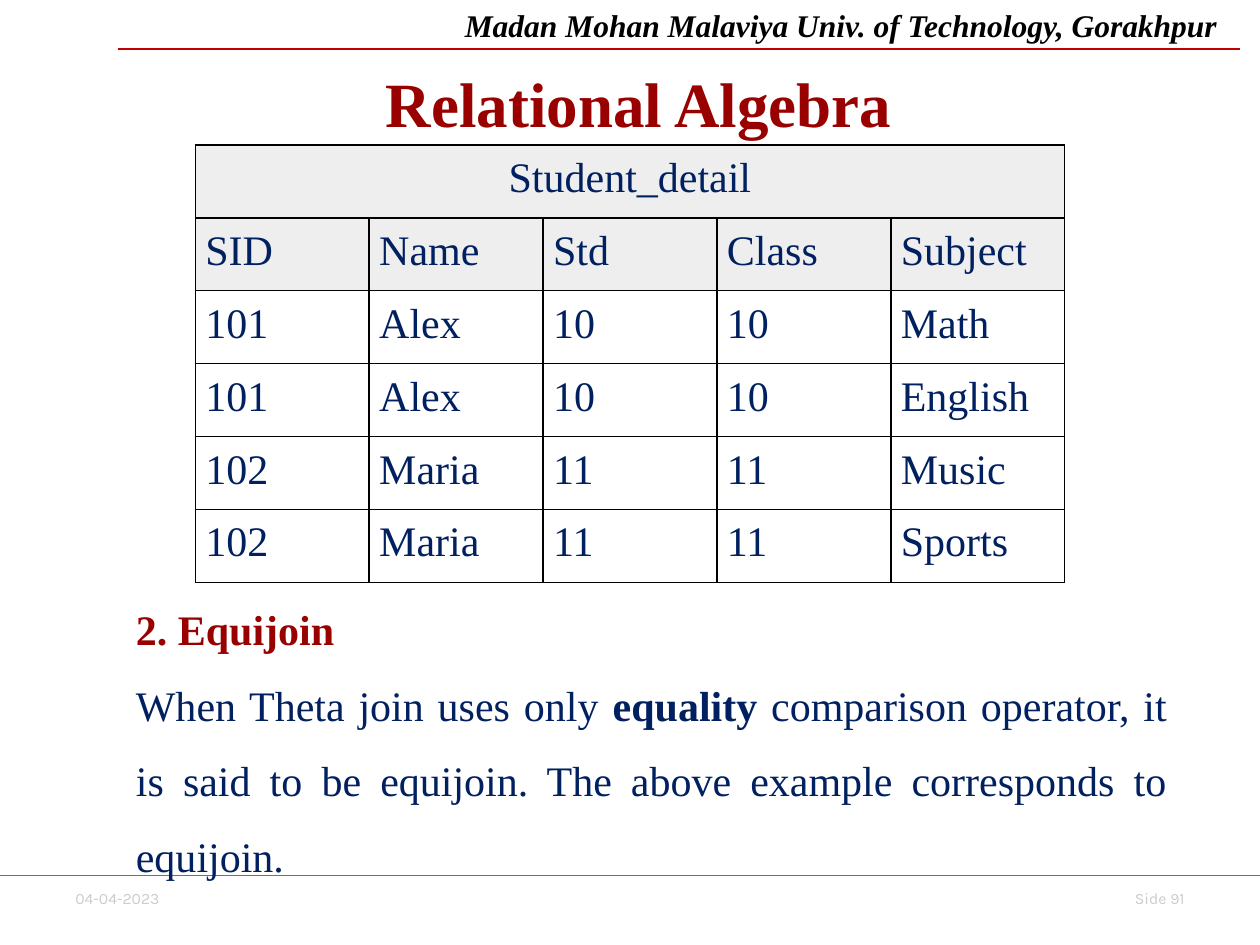
from lxml.etree import SubElement
from pptx import Presentation
from pptx.dml.color import RGBColor
from pptx.enum.shapes import MSO_CONNECTOR
from pptx.enum.text import MSO_ANCHOR, PP_ALIGN
from pptx.oxml.ns import qn
from pptx.util import Inches, Pt

SERIF = "Times New Roman"
RED, NAVY, GRAY = "990000", "002060", "CCCCCC"

prs = Presentation()
prs.slide_width, prs.slide_height = Inches(10), Inches(7.5)
s = prs.slides.add_slide(prs.slide_layouts[6])

# Grid: 100 columns by 75 rows of equal square units
U = prs.slide_width // 100


def color(value):
    return RGBColor.from_string(value)


def add_run(p, text, size, fill, font=SERIF, bold=False, italic=False):
    r = p.add_run()
    r.text = text
    r.font.name, r.font.size = font, Pt(size)
    r.font.bold, r.font.italic = bold, italic
    r.font.color.rgb = color(fill)


# Header and footer rules
for x1, x2, y, line_color in [(9.4, 98.4, 3.9, "C00000"), (0, 100, 69.5, "00B050")]:
    line = s.shapes.add_connector(MSO_CONNECTOR.STRAIGHT, int(x1 * U), int(y * U), int(x2 * U), int(y * U))
    line.line.color.rgb = color(line_color)
    line.line.width = Pt(0.75)
    SubElement(line._element.spPr, qn("a:effectLst"))

# Student table
rows = [
    ["Student_detail", "", "", "", ""],
    ["SID", "Name", "Std", "Class", "Subject"],
    ["101", "Alex", "10", "10", "Math"],
    ["101", "Alex", "10", "10", "English"],
    ["102", "Maria", "11", "11", "Music"],
    ["102", "Maria", "11", "11", "Sports"],
]
col_w, row_h = int(13.8 * U), int(5.79 * U)
table = s.shapes.add_table(6, 5, int(15.5 * U), int(11.5 * U), 5 * col_w, 6 * row_h).table
for col in table.columns:
    col.width = col_w
for row in table.rows:
    row.height = row_h
table.cell(0, 0).merge(table.cell(0, 4))
for i, values in enumerate(rows):
    for j, value in enumerate(values):
        cell = table.cell(i, j)
        cell.margin_left = cell.margin_right = cell.margin_top = cell.margin_bottom = int(0.8 * U)
        tcPr = cell._tc.get_or_add_tcPr()
        for side in ("a:lnL", "a:lnR", "a:lnT", "a:lnB"):
            border = SubElement(tcPr, qn(side), w=str(Pt(1)))
            SubElement(SubElement(border, qn("a:solidFill")), qn("a:srgbClr"), val="000000")
        if i < 2:
            cell.fill.solid()
            cell.fill.fore_color.rgb = color("EEEEEE")
        else:
            cell.fill.background()
        if value:
            p = cell.text_frame.paragraphs[0]
            p.alignment = PP_ALIGN.CENTER if i == 0 else PP_ALIGN.LEFT
            add_run(p, value, 24, NAVY)

# One-line texts: date, page number, university, title
labels = [
    ((5, 70, 10.3, 2.5), PP_ALIGN.LEFT, ("04-04-2023", 9, GRAY, "Karla")),
    ((86.7, 70, 8.3, 2.5), PP_ALIGN.RIGHT, ("Side 91", 9, GRAY, "Karla")),
    ((35.9, 0, 64.1, 4), PP_ALIGN.LEFT,
     ("Madan Mohan Malaviya Univ. of Technology, Gorakhpur", 18, "000000", SERIF, True, True)),
    ((7.8, 4.4, 85.8, 7.5), PP_ALIGN.CENTER, ("Relational Algebra", 36, RED, SERIF, True)),
]
for box, align, run in labels:
    tf = s.shapes.add_textbox(*(int(v * U) for v in box)).text_frame
    tf.word_wrap = True
    tf.vertical_anchor = MSO_ANCHOR.MIDDLE
    p = tf.paragraphs[0]
    p.alignment = align
    add_run(p, *run)

# Equijoin explanation
tf = s.shapes.add_textbox(*(int(v * U) for v in (9.8, 45.4, 83.8, 24.5))).text_frame
tf.word_wrap = True
p = tf.paragraphs[0]
p.line_spacing = 1.5
add_run(p, "2. Equijoin", 24, RED, bold=True)
p = tf.add_paragraph()
p.line_spacing = 1.5
p.alignment = PP_ALIGN.JUSTIFY
add_run(p, "When Theta join uses only ", 24, NAVY)
add_run(p, "equality", 24, NAVY, bold=True)
add_run(p, " comparison operator, it is said to be equijoin. "
           "The above example corresponds to equijoin.", 24, NAVY)

prs.save("out.pptx")
